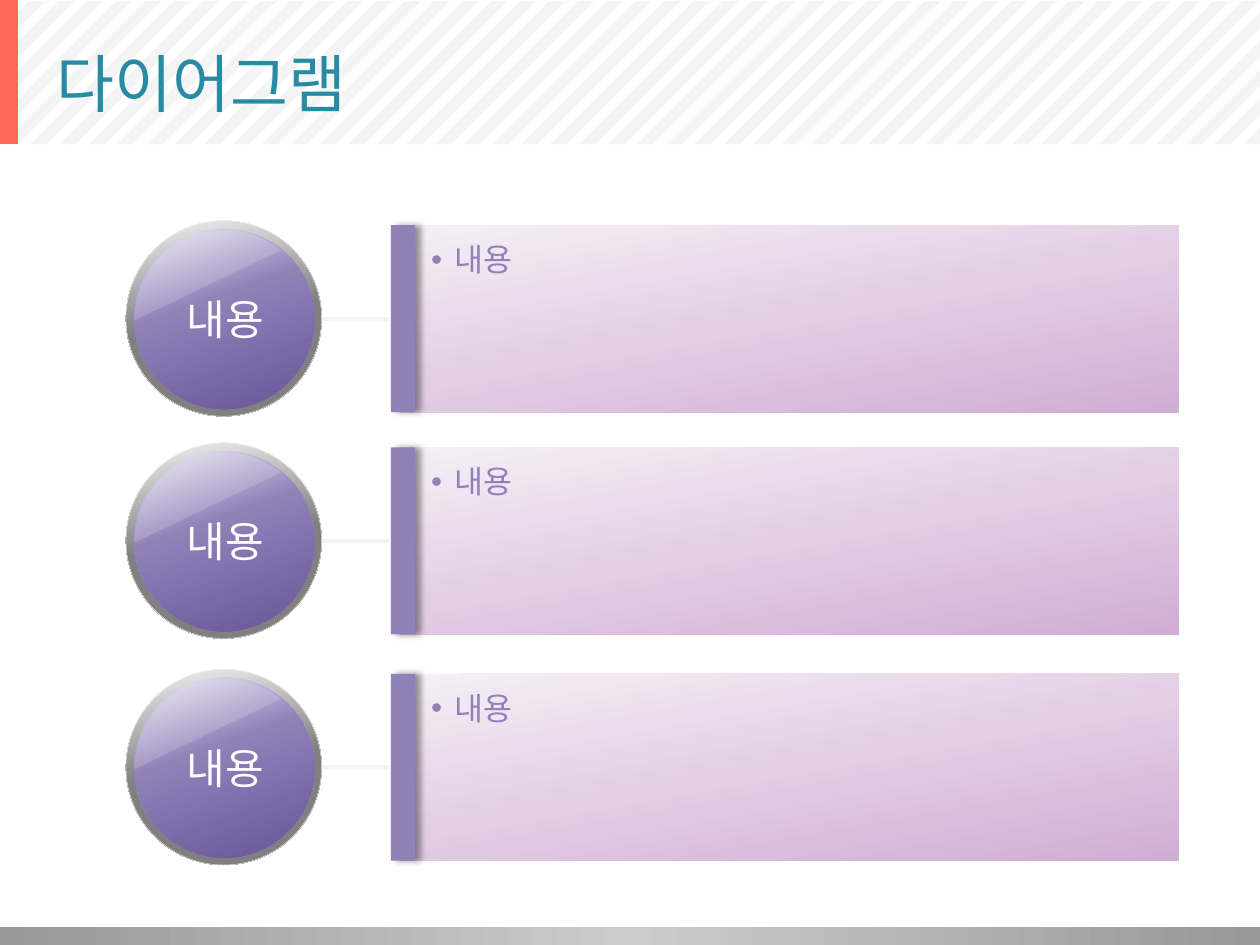
from copy import deepcopy
from dataclasses import dataclass

from lxml import etree
from pptx import Presentation
from pptx import util as u
from pptx.dml import color
from pptx.enum import shapes, text
from pptx.oxml import ns

Pt = u.Pt
KIND = shapes.MSO_SHAPE
WIDE, HIGH = 720, 540
VIOLET = "9181B9"


@dataclass(frozen=True)
class Box:
    x: float
    y: float
    w: float
    h: float

    def lengths(self) -> list:
        return [Pt(v) for v in (self.x, self.y, self.w, self.h)]


@dataclass(frozen=True)
class Fade:
    """Colour stops as (position, hex), with a clockwise angle."""
    stops: tuple
    angle: float


@dataclass(frozen=True)
class Row:
    top: float
    label: str
    body: str


FOOT = Fade(((0, "989898"), (0.5, "CCCCCC"), (1, "989898")), 0)
RIM = Fade(((0, "F2F2F2"), (0.5, "808080"), (1, "808080")), 80)
BALL = Fade(((0, "F4F2F8"), (0.4, VIOLET), (1, "675497")), 70)
PANEL = Fade(((0, "F6EFF6"), (0.5, "E3CEE5"), (1, "D0AED4")), 80)
ROWS = [Row(top, "내용", "내용") for top in (126.1, 253.1, 382.5)]


def tint(code: str) -> color.RGBColor:
    return color.RGBColor.from_string(code)


def paint(fill, code: str) -> None:
    fill.solid()
    fill.fore_color.rgb = tint(code)


def blend(fill, props, fade: Fade) -> None:
    """Give a shape a gradient with any number of stops."""
    fill.gradient()
    fill.gradient_angle = -fade.angle % 360
    stops = props.find(".//" + ns.qn("a:gsLst"))
    while len(stops) < len(fade.stops):
        stops.append(deepcopy(stops[0]))
    for stop, (place, code) in zip(fill.gradient_stops, fade.stops):
        stop.position = place
        stop.color.rgb = tint(code)


def add(parent, tag: str, **attrs):
    node = etree.SubElement(parent, ns.qn(tag))
    for key, value in attrs.items():
        node.set(key, str(value))
    return node


def veil(shape, percent: int) -> None:
    """Set the opacity of a solid fill."""
    code = shape._element.spPr.find(".//" + ns.qn("a:srgbClr"))
    add(code, "a:alpha", val=percent * 1000)


def draw(slide, kind, box: Box, fill):
    shape = slide.shapes.add_shape(kind, *box.lengths())
    shape.shadow.inherit = False
    shape.line.fill.background()
    if isinstance(fill, Fade):
        blend(shape.fill, shape._element.spPr, fill)
    else:
        paint(shape.fill, fill)
    return shape


def write(shape, words: str, size: float, code: str, **form):
    """Fill a shape with one paragraph; form holds text frame values."""
    frame = shape.text_frame
    for key, value in form.items():
        setattr(frame, key, value)
    para = frame.paragraphs[0]
    run = para.add_run()
    run.text = words
    for key, value in {"name": "Arial", "size": Pt(size)}.items():
        setattr(run.font, key, value)
    paint(run.font.fill, code)
    return para


def stripes(slide) -> None:
    """Hatch the header with slanted stripes clipped at the slide sides."""
    top, low, thick, pitch = 0.7, 82.4, 9, 16.5
    for step in range(-5, 44):
        points = []
        for total in (1.2 + step * pitch + low, 1.2 + step * pitch + low + thick):
            left, right = max(0, total - low), min(WIDE, total - top)
            points.append([(Pt(x), Pt(total - x)) for x in (left, right)])
        near, far = points
        pen = slide.shapes.build_freeform(*near[0], scale=1.0)
        pen.add_line_segments([near[1], far[1], far[0]], close=True)
        stripe = pen.convert_to_shape()
        stripe.shadow.inherit = False
        stripe.line.fill.background()
        paint(stripe.fill, "EBEBEB")
        veil(stripe, 52)


def orb(slide, row: Row) -> None:
    rim = draw(slide, KIND.OVAL, Box(72, row.top, 111.8, 111.8), RIM)
    paint(rim.line.fill, "F2F2F2")
    rim.line.width = Pt(0.25)
    draw(slide, KIND.OVAL, Box(76.7, row.top + 4.7, 103, 103), BALL)
    gloss = draw(slide, KIND.CHORD, Box(76.7, row.top + 5.5, 103, 103), "E9E6F1")
    gloss.rotation = 90
    gloss.adjustments[0], gloss.adjustments[1] = 53.946, 131.298
    veil(gloss, 20)
    label = slide.shapes.add_textbox(*Box(97.9, row.top + 38, 62, 36).lengths())
    para = write(label, row.label, 24, "FDFDFD", word_wrap=False,
                 vertical_anchor=text.MSO_ANCHOR.MIDDLE,
                 auto_size=text.MSO_AUTO_SIZE.SHAPE_TO_FIT_TEXT)
    para.alignment = text.PP_ALIGN.CENTER


def panel(slide, row: Row):
    """Draw the text panel and return the bar at its left."""
    top = row.top + 2.6
    body = draw(slide, KIND.RECTANGLE, Box(229, top, 444.5, 106.8), PANEL)
    para = write(body, row.body, 18, VIOLET, word_wrap=True,
                 vertical_anchor=text.MSO_ANCHOR.TOP,
                 margin_left=Pt(17.3), margin_top=Pt(8.6))
    para.alignment = text.PP_ALIGN.LEFT
    props = para._p.get_or_add_pPr()
    for key, value in {"marL": 13.7, "indent": -13.7}.items():
        props.set(key, str(Pt(value)))
    add(props, "a:buFont", typeface="Arial")
    add(props, "a:buChar", char="•")

    bar = draw(slide, KIND.RECTANGLE, Box(223.4, top, 13.8, 106.8), VIOLET)
    effects = bar._element.spPr.find(ns.qn("a:effectLst"))
    shade = add(effects, "a:outerShdw", blurRad=Pt(4), dist=Pt(3), dir=0,
                algn="l", rotWithShape=0)
    add(add(shade, "a:srgbClr", val="000000"), "a:alpha", val=40000)
    return bar


def link(slide, row: Row, bar) -> None:
    mid = Pt(row.top + 56)
    line = slide.shapes.add_connector(
        shapes.MSO_CONNECTOR.STRAIGHT, Pt(184.2), mid, Pt(223.4), mid)
    line.end_connect(bar, 1)
    paint(line.line.fill, "F3F3F3")
    line.line.width = Pt(2.25)
    add(line._element.spPr, "a:effectLst")


def main() -> None:
    deck = Presentation()
    deck.slide_width, deck.slide_height = Pt(WIDE), Pt(HIGH)
    slide = deck.slides.add_slide(deck.slide_layouts[6])

    stripes(slide)
    draw(slide, KIND.RECTANGLE, Box(0, 529.7, WIDE, 10.3), FOOT)
    draw(slide, KIND.RECTANGLE, Box(0, 0, 10.3, 82.3), "FF6957")
    title = slide.shapes.add_textbox(*Box(25.2, 10, 667.5, 74).lengths())
    write(title, "다이어그램", 36, "268BA3", word_wrap=True,
          vertical_anchor=text.MSO_ANCHOR.MIDDLE)

    for row in ROWS:
        orb(slide, row)
        link(slide, row, panel(slide, row))
    deck.save("out.pptx")


if __name__ == "__main__":
    main()
